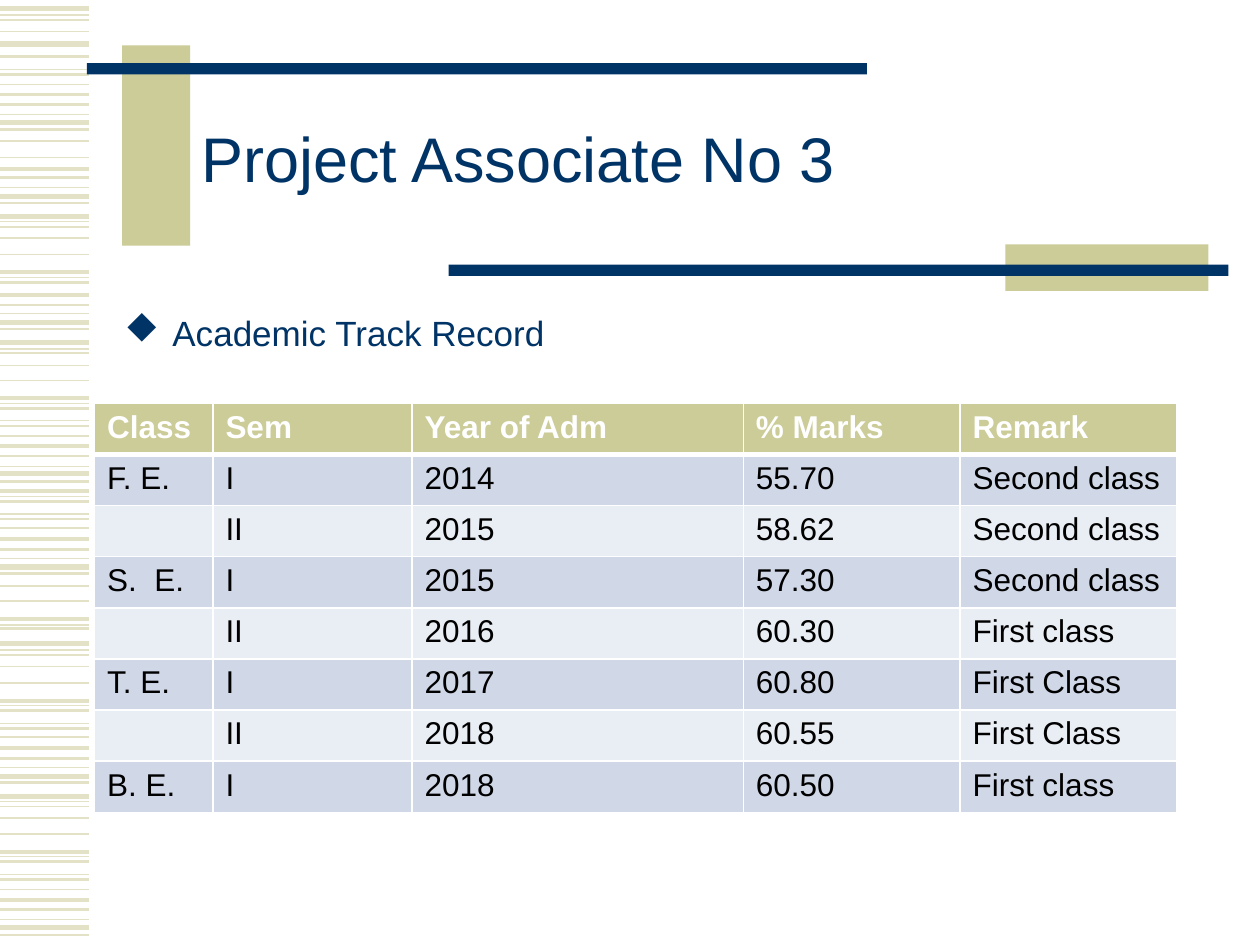
from lxml.etree import SubElement
from pptx import Presentation
from pptx.dml.color import RGBColor
from pptx.enum.shapes import MSO_CONNECTOR as Connector, MSO_SHAPE as Shape
from pptx.enum.text import MSO_ANCHOR as Anchor
from pptx.oxml.ns import qn
from pptx.util import Inches, Pt

NAVY, KHAKI, PALE_KHAKI, WHITE = "003366", "CCCC99", "E3E2C7", "FFFFFF"
BANDS = ("D0D8E8", "E9EDF4")
WINGDINGS_DIAMOND = "u"

STRIPES = {
    0.75: (0.12, 0.55, 0.91, 1.49, 1.76, 2.2, 2.49, 2.77, 3.2, 3.34, 3.7, 3.94,
           4.08, 4.43, 4.96, 5.16, 5.6, 5.74, 6.09, 6.36, 6.8, 6.94, 7.3),
    1: (0.16, 0.25, 0.67, 1.12, 1.25, 1.8, 1.89, 2.02, 2.8, 2.9, 3.02, 3.46,
        4.19, 4.65, 4.77, 5.2, 5.29, 5.42, 5.85, 6.4, 6.49, 6.62, 7.06),
    1.5: (0.45, 0.59, 0.83, 1.03, 1.41, 1.61, 2.24, 2.42, 2.61, 3.24, 3.38,
          3.62, 3.82, 3.98, 4.12, 4.36, 4.55, 4.99, 5.64, 5.78, 6.02, 6.21,
          6.84, 6.98, 7.22, 7.42),
    2.25: (0.75, 1.34, 2.16, 2.34, 3.16, 3.54, 3.9, 4.28, 4.91, 5.56, 5.94,
           6.76, 7.14),
    3: (0.07, 0.35, 0.97, 1.56, 1.72, 2.56, 2.72, 3.76, 4.5, 5.11, 6.16, 6.32,
        7.36),
}

BARS = (
    ((0.97, 0.36, 0.54, 1.59), KHAKI),
    ((0.69, 0.5, 6.19, 0.09), NAVY),
    ((7.98, 1.94, 1.61, 0.37), KHAKI),
    ((3.56, 2.1, 6.19, 0.09), NAVY),
)

COLUMN_WIDTHS = (0.94, 1.58, 2.63, 1.72, 1.72)
RECORDS = (
    ("Class", "Sem", "Year of Adm", "% Marks", "Remark"),
    ("F. E.", "I", "2014", "55.70", "Second class"),
    ("", "II", "2015", "58.62", "Second class"),
    ("S.  E.", "I", "2015", "57.30", "Second class"),
    ("", "II", "2016", "60.30", "First class"),
    ("T. E.", "I", "2017", "60.80", "First Class"),
    ("", "II", "2018", "60.55", "First Class"),
    ("B. E.", "I", "2018", "60.50", "First class"),
)


def color(hex_value):
    return RGBColor.from_string(hex_value)


def set_attributes(target, values):
    for name, value in values.items():
        setattr(target, name, value)


def write_text(paragraph, text, size, hex_value, bold=False):
    run = paragraph.add_run()
    run.text = text
    set_attributes(run.font, {"name": "Arial", "size": Pt(size), "bold": bold})
    run.font.color.rgb = color(hex_value)


def add_stripes(slide, left, width):
    for weight, heights in STRIPES.items():
        for y in heights:
            stripe = slide.shapes.add_connector(
                Connector.STRAIGHT, Inches(left), Inches(y),
                Inches(left + width), Inches(y))
            stripe.line.width = Pt(weight)
            stripe.line.color.rgb = color(PALE_KHAKI)
            SubElement(stripe._element.spPr, qn("a:effectLst"))


def add_bars(slide):
    for box, hex_value in BARS:
        bar = slide.shapes.add_shape(Shape.RECTANGLE, *map(Inches, box))
        bar.shadow.inherit = False
        bar.fill.solid()
        bar.fill.fore_color.rgb = color(hex_value)
        bar.line.fill.background()


def add_text_box(slide, box, anchor):
    frame = slide.shapes.add_textbox(*map(Inches, box)).text_frame
    set_attributes(frame, {"word_wrap": True, "vertical_anchor": anchor})
    return frame.paragraphs[0]


def add_title(slide, box):
    paragraph = add_text_box(slide, box, Anchor.MIDDLE)
    paragraph.line_spacing = 0.85
    write_text(paragraph, "Project Associate No 3", 36, NAVY)


def add_body(slide, box):
    paragraph = add_text_box(slide, box, Anchor.TOP)
    paragraph.space_before = Pt(4)
    properties = paragraph._p.get_or_add_pPr()
    indent = Inches(0.38)
    properties.set("marL", str(indent))
    properties.set("indent", str(-indent))
    bullet_color = SubElement(properties, qn("a:buClr"))
    SubElement(bullet_color, qn("a:srgbClr"), val=NAVY)
    SubElement(properties, qn("a:buFont"), typeface="Wingdings",
               pitchFamily="2", charset="2")
    SubElement(properties, qn("a:buChar"), char=WINGDINGS_DIAMOND)
    write_text(paragraph, "Academic Track Record", 20, NAVY)


def add_cell_border(cell, side, weight):
    border = SubElement(cell._tc.get_or_add_tcPr(), qn(f"a:ln{side}"),
                        w=str(Pt(weight)))
    fill = SubElement(border, qn("a:solidFill"))
    SubElement(fill, qn("a:srgbClr"), val=WHITE)


def format_cell(cell, text, row_index):
    is_header = row_index == 0
    thick_side = {0: "B", 1: "T"}.get(row_index)
    for side in "LRTB":
        add_cell_border(cell, side, 3 if side == thick_side else 1)
    cell.fill.solid()
    cell.fill.fore_color.rgb = color(
        KHAKI if is_header else BANDS[(row_index - 1) % 2])
    if text:
        write_text(cell.text_frame.paragraphs[0], text, 18,
                   WHITE if is_header else "000000", is_header)


def add_record_table(slide, box):
    table = slide.shapes.add_table(
        len(RECORDS), len(COLUMN_WIDTHS), *map(Inches, box)).table
    for column, width in zip(table.columns, COLUMN_WIDTHS):
        column.width = Inches(width)
    for row_index, record in enumerate(RECORDS):
        for column_index, text in enumerate(record):
            format_cell(table.cell(row_index, column_index), text, row_index)


def main():
    presentation = Presentation()
    set_attributes(presentation, {"slide_width": Inches(10),
                                  "slide_height": Inches(7.5)})
    slide = presentation.slides.add_slide(presentation.slide_layouts[6])
    add_stripes(slide, 0, 0.71)
    add_bars(slide)
    add_title(slide, (1.5, 0.67, 8.07, 1.25))
    add_body(slide, (0.89, 2.42, 8.7, 4.24))
    add_record_table(slide, (0.75, 3.2, 8.58, 3.25))
    presentation.save("out.pptx")


if __name__ == "__main__":
    main()
